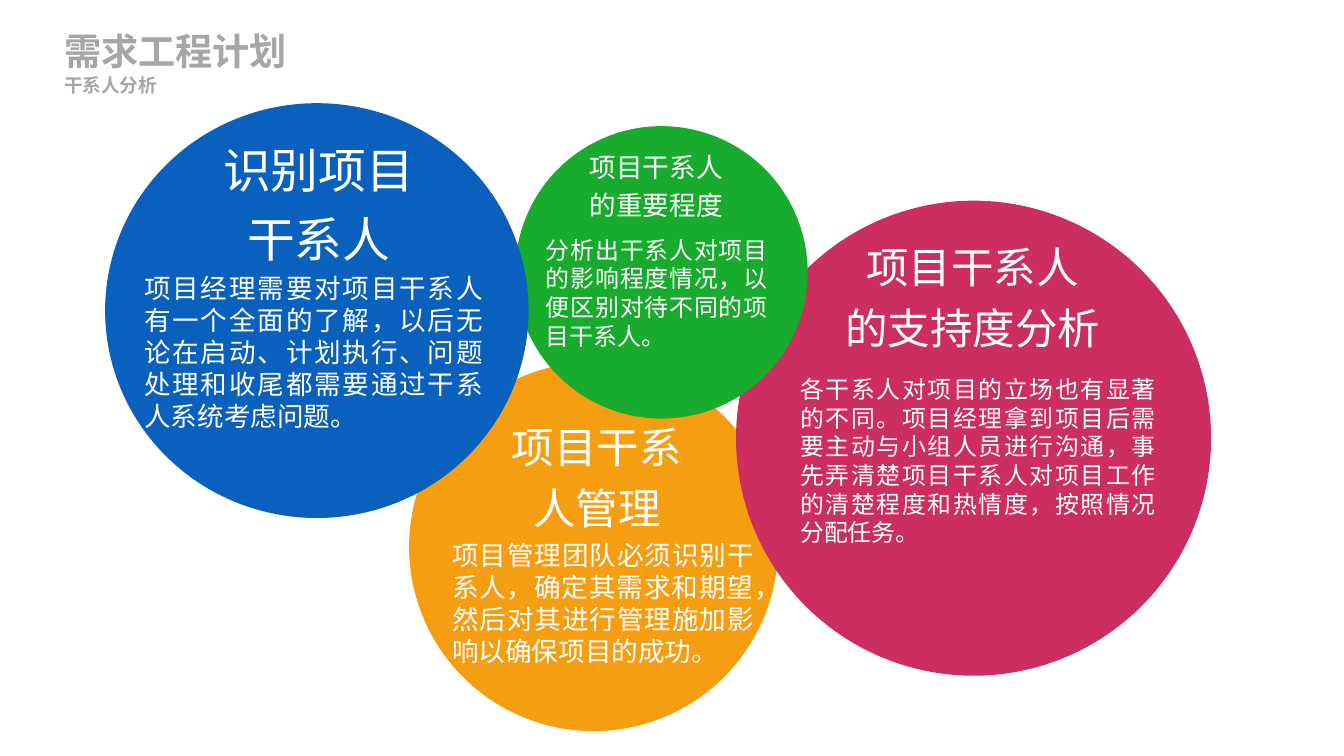
"""Build the stakeholder analysis slide with four overlapping circles."""
from dataclasses import dataclass

from pptx import Presentation
from pptx.dml.color import RGBColor
from pptx.enum.lang import MSO_LANGUAGE_ID as Language
from pptx.enum.shapes import MSO_SHAPE as ShapeKind
from pptx.enum.text import MSO_ANCHOR as Anchor, MSO_AUTO_SIZE as AutoSize, PP_ALIGN as Align
from pptx.shapes.base import BaseShape
from pptx.slide import Slide
from pptx.util import Inches, Pt

FONT = "Arial"
WHITE = "FFFFFF"
GREY = "A6A6A6"


@dataclass(frozen=True)
class Box:
    left: float
    top: float
    width: float
    height: float

    def lengths(self) -> tuple[Inches, ...]:
        return tuple(Inches(v) for v in (self.left, self.top, self.width, self.height))


@dataclass(frozen=True)
class Text:
    box: Box
    lines: tuple[str, ...]
    size: int
    align: Align
    line_spacing: float = 1.0
    color: str = WHITE
    bold: bool = False
    anchor: Anchor = Anchor.TOP


@dataclass(frozen=True)
class Circle:
    box: Box
    color: str
    heading: Text
    body: Text


def heading(box: Box, size: int, *lines: str) -> Text:
    return Text(box, lines, size, Align.CENTER, line_spacing=1.2)


def body(box: Box, size: int, line: str) -> Text:
    return Text(box, (line,), size, Align.JUSTIFY)


def header(box: Box, size: int, line: str) -> Text:
    return Text(box, (line,), size, Align.LEFT, color=GREY, bold=True, anchor=Anchor.MIDDLE)


TITLE = header(Box(0.67, 0.29, 3.37, 0.47), 28, "需求工程计划")
SUBTITLE = header(Box(0.67, 0.77, 3.52, 0.24), 14, "干系人分析")

CIRCLES = (
    Circle(
        Box(4.28, 3.79, 3.86, 3.86), "F69E12",
        heading(Box(5.28, 4.3, 1.93, 1.29), 32, "项目干系人管理"),
        body(Box(4.73, 5.64, 3.16, 1.35), 20,
             "项目管理团队必须识别干系人，确定其需求和期望，然后对其进行管理施加影响以确保项目的成功。"),
    ),
    Circle(
        Box(7.7, 2.1, 4.97, 4.97), "CC2E5F",
        heading(Box(6.92, 2.41, 6.51, 1.29), 32, "项目干系人", "的支持度分析"),
        body(Box(8.37, 3.92, 3.72, 1.82), 18,
             "各干系人对项目的立场也有显著的不同。项目经理拿到项目后需要主动与小组人员进行沟通，"
             "事先弄清楚项目干系人对项目工作的清楚程度和热情度，按照情况分配任务。"),
    ),
    Circle(
        Box(5.39, 1.32, 3.06, 3.06), "18AB2D",
        heading(Box(5.91, 1.51, 1.91, 0.81), 20, "项目干系人", "的重要程度"),
        body(Box(5.71, 2.46, 2.32, 1.21), 18,
             "分析出干系人对项目的影响程度情况，以便区别对待不同的项目干系人。"),
    ),
    Circle(
        Box(1.1, 1.08, 4.43, 4.34), "0961BD",
        heading(Box(2.22, 1.35, 2.23, 1.45), 36, "识别项目干系人"),
        body(Box(1.51, 2.85, 3.54, 1.68), 20,
             "项目经理需要对项目干系人有一个全面的了解，以后无论在启动、计划执行、"
             "问题处理和收尾都需要通过干系人系统考虑问题。"),
    ),
)


def rgb(color: str) -> RGBColor:
    return RGBColor.from_string(color)


def write_text(shape: BaseShape, text: Text) -> None:
    shape.left, shape.top, shape.width, shape.height = text.box.lengths()
    frame = shape.text_frame
    frame.margin_left = frame.margin_top = frame.margin_right = frame.margin_bottom = 0
    frame.word_wrap = True
    frame.auto_size = AutoSize.SHAPE_TO_FIT_TEXT
    frame.vertical_anchor = text.anchor
    for index, line in enumerate(text.lines):
        paragraph = frame.add_paragraph() if index else frame.paragraphs[0]
        paragraph.alignment = text.align
        paragraph.line_spacing = text.line_spacing
        paragraph.space_before = Pt(0)
        run = paragraph.add_run()
        run.text = line
        font = run.font
        font.name = FONT
        font.size = Pt(text.size)
        font.bold = text.bold
        font.color.rgb = rgb(text.color)
        font.language_id = Language.SIMPLIFIED_CHINESE


def draw_circle(slide: Slide, circle: Circle) -> None:
    shapes = slide.shapes.add_group_shape().shapes
    disc = shapes.add_shape(ShapeKind.OVAL, *circle.box.lengths())
    disc.shadow.inherit = False
    disc.fill.solid()
    disc.fill.fore_color.rgb = rgb(circle.color)
    disc.line.fill.background()
    for text in (circle.body, circle.heading):
        write_text(shapes.add_textbox(*text.box.lengths()), text)


def main() -> None:
    presentation = Presentation()
    presentation.slide_width = Inches(14.06)
    presentation.slide_height = Inches(7.91)
    title_only = presentation.slide_layouts.get_by_name("Title Only")
    slide = presentation.slides.add_slide(title_only)
    for circle in CIRCLES:
        draw_circle(slide, circle)
    write_text(slide.shapes.title, TITLE)
    write_text(slide.shapes.add_textbox(*SUBTITLE.box.lengths()), SUBTITLE)
    presentation.save("out.pptx")


if __name__ == "__main__":
    main()
